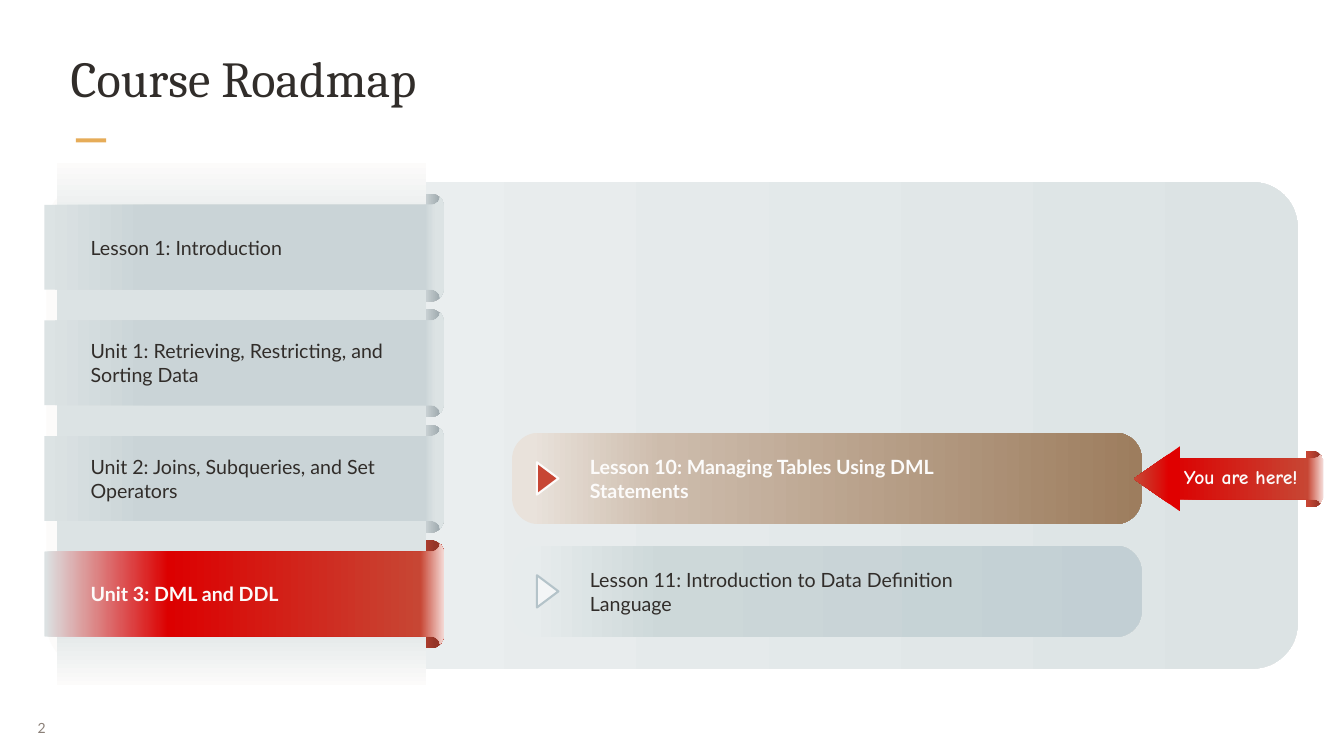
"""Build the course roadmap slide with unit ribbons, lesson bars and a position callout."""
from pptx import Presentation
from pptx.dml.color import RGBColor
from pptx.enum.shapes import MSO_SHAPE
from pptx.enum.text import MSO_ANCHOR, MSO_AUTO_SIZE, PP_ALIGN
from pptx.oxml import parse_xml
from pptx.oxml.ns import nsdecls
from pptx.util import Inches, Pt

TITLE = "Course Roadmap"
PAGE = "2"
CALLOUT = "You are here!"
UNITS = [
    {"text": "Lesson 1: Introduction", "width": 3.99, "lines": 1},
    {"text": "Unit 1: Retrieving, Restricting, and Sorting Data", "width": 4.81, "lines": 2},
    {"text": "Unit 2: Joins, Subqueries, and Set Operators", "width": 4.89, "lines": 2},
    {"text": "Unit 3: DML and DDL", "width": 3.63, "lines": 1, "current": True},
]
LESSONS = [
    {"text": "Lesson 10: Managing Tables Using DML Statements", "current": True},
    {"text": "Lesson 11: Introduction to Data Definition Language"},
]

THEME = {
    "dark": "312D2A", "light": "FCFBFA", "accent": "E6AC58", "muted": "8B8078",
    "heading": "Cambria", "body": "Lato", "hand": "Comic Neue",
    "title_size": 54, "text_size": 21, "page_size": 15,
    "canvas": [(0, "FCFBFA"), (26, "EAEEEF"), (100, "DCE3E4")],
    "panel": [(0, "FCFBFA"), (17, "DCE3E4"), (87, "DCE3E4"), (100, "FCFBFA")],
    "arrow_head": [(0, "E00000"), (23, "E00000"), (96, "C74634")],
    "arrow_body": [(0, "DC0000"), (90, "C74634"), (100, "F4DAD6")],
    "arrow_fold": [(11, "C74634"), (92, "953427")],
    "current": {
        "fold": [(73, "C74634"), (92, "953427")],
        "ribbon": [(0, "DCE3E4"), (31, "DC0000"), (94, "C74634"), (100, "F4DAD6")],
        "bar": [(3, "E9E2DB"), (24, "CDBCAC"), (100, "9D7D5E")],
        "marker": "C74634", "marker_line": "FCFBFA", "text": "FCFBFA", "bold": True,
    },
    "normal": {
        "fold": [(77, "DEE4E5"), (99, "96A2A7")],
        "ribbon": [(0, "DCE3E4"), (25, "CAD4D7"), (95, "CAD4D7"), (98, "DCE3E4")],
        "bar": [(3, "E7ECED"), (24, "CDD8D9"), (100, "C2CFD4")],
        "marker": "F3F5F6", "marker_line": "B4C3C9", "text": "312D2A", "bold": False,
    },
}

RIBBON_TOP, RIBBON_PITCH, RIBBON_H = 2.93, 1.72, 1.5
BAR_TOP, BAR_PITCH, BAR_H = 6.44, 1.68, 1.36
TEXT_H = {1: 0.45, 2: 0.81}


def style_of(item):
    return THEME["current" if item.get("current") else "normal"]


def paint(sp, fill, angle=0, line=None):
    sp.shadow.inherit = False
    if isinstance(fill, str):
        sp.fill.solid()
        sp.fill.fore_color.rgb = RGBColor.from_string(fill)
    else:
        stops = "".join(
            f'<a:gs pos="{pos * 1000}"><a:srgbClr val="{color}"/></a:gs>' for pos, color in fill)
        sp.fill.background()
        props = sp.element.spPr
        blank = props.find("{http://schemas.openxmlformats.org/drawingml/2006/main}noFill")
        props.replace(blank, parse_xml(
            f'<a:gradFill {nsdecls("a")} rotWithShape="1"><a:gsLst>{stops}</a:gsLst>'
            f'<a:lin ang="{angle * 60000}" scaled="0"/></a:gradFill>'))
    if line:
        sp.line.color.rgb = RGBColor.from_string(line)
        sp.line.width = Pt(2.25)
    else:
        sp.line.fill.background()


def add_box(shapes, kind, box, fill, angle=0, line=None, radius=None, rotation=0):
    sp = shapes.add_shape(kind, *map(Inches, box))
    if radius is not None:
        sp.adjustments[0] = radius
    sp.rotation = rotation
    paint(sp, fill, angle, line)


def write(tf, text, size, font, color, bold=False, align=PP_ALIGN.LEFT):
    p = tf.paragraphs[0]
    p.alignment = align
    r = p.add_run()
    r.text = text
    r.font.size, r.font.name, r.font.bold = Pt(size), font, bold
    r.font.color.rgb = RGBColor.from_string(color)


def add_text(shapes, box, text, font=THEME["body"], size=THEME["text_size"],
             color=THEME["dark"], bold=False, align=PP_ALIGN.LEFT, wrap=True):
    tf = shapes.add_textbox(*map(Inches, box)).text_frame
    tf.word_wrap = wrap
    tf.vertical_anchor = MSO_ANCHOR.MIDDLE
    write(tf, text, size, font, color, bold, align)
    return tf


def curve(a, b, c, d, steps=8):
    ts = [i / steps for i in range(steps + 1)]
    return [tuple((1 - t) ** 3 * w + 3 * t * (1 - t) ** 2 * x + 3 * t * t * (1 - t) * y + t ** 3 * z
                  for w, x, y, z in zip(a, b, c, d)) for t in ts]


def add_mirrored(shapes, left, top, height, upper, fill):
    points = upper + [(x, height - y) for x, y in reversed(upper)]
    points = [(Inches(left + x), Inches(top + y)) for x, y in points]
    builder = shapes.build_freeform(*points[0])
    builder.add_line_segments(points[1:], close=True)
    paint(builder.convert_to_shape(), fill)


def add_ribbon(shapes, left, top, width, height, dx, dy, fill):
    inner = [(-1, 1), (-0.74, 1), (-0.53, 0.75), (-0.37, 0.4)]
    outer = [(-0.32, 0), (-0.1, 0.4), (0, 1), (0, 1.65)]
    edge = curve(*inner) + curve(*outer)
    upper = [(0, dy)] + [(width + x * dx, y * dy) for x, y in edge]
    add_mirrored(shapes, left, top, height, upper, fill)


def add_lessons(shapes):
    for i, lesson in enumerate(LESSONS):
        style, top = style_of(lesson), BAR_TOP + i * BAR_PITCH
        add_box(shapes, MSO_SHAPE.ROUNDED_RECTANGLE, (7.62, top, 9.37, BAR_H),
                style["bar"], radius=0.289)
        add_text(shapes, (8.68, top + 0.28, 6.7, TEXT_H[2]), lesson["text"],
                 color=style["text"], bold=style["bold"])
        add_box(shapes, MSO_SHAPE.ISOSCELES_TRIANGLE, (7.91, top + 0.52, 0.48, 0.32),
                style["marker"], line=style["marker_line"], rotation=90)


def add_callout(shapes):
    group = shapes.add_group_shape().shapes
    corner = [(0, 0)] + curve((0.09, 0), (0.17, 0), (0.24, 0.06), (0.24, 0.14))
    add_mirrored(group, 19.43, 6.71, 0.84, corner, THEME["arrow_fold"])
    add_ribbon(group, 17.38, 6.77, 2.31, 0.71, 0.15, 0.05, THEME["arrow_body"])
    add_box(group, MSO_SHAPE.ISOSCELES_TRIANGLE, (16.73, 6.78, 0.97, 0.69),
            THEME["arrow_head"], angle=270, rotation=270)
    add_text(group, (17.38, 6.87, 2.17, TEXT_H[1]), CALLOUT, font=THEME["hand"],
             color=THEME["light"], bold=True, align=PP_ALIGN.CENTER)


def add_units(shapes):
    rows = [(unit, style_of(unit), RIBBON_TOP + i * RIBBON_PITCH) for i, unit in enumerate(UNITS)]
    for unit, style, top in rows:
        add_box(shapes, MSO_SHAPE.ROUNDED_RECTANGLE, (5.02, top - 0.05, 1.58, 1.61),
                style["fold"], radius=0.126)
    add_box(shapes, MSO_SHAPE.RECTANGLE, (0.85, 2.42, 5.49, 7.78), THEME["panel"], angle=90)
    for unit, style, top in rows:
        add_ribbon(shapes, 0.66, top, 5.95, RIBBON_H, 0.19, 0.12, style["ribbon"])
    for unit, style, top in rows:
        height = TEXT_H[unit["lines"]]
        add_text(shapes, (1.25, top + (RIBBON_H - height) / 2, unit["width"], height),
                 unit["text"], color=style["text"], bold=style["bold"])


def main():
    prs = Presentation()
    prs.slide_width, prs.slide_height = Inches(20), Inches(11.25)
    s = prs.slides.add_slide(prs.slide_layouts[5])
    title = s.shapes.title
    title.left, title.top, title.width, title.height = map(Inches, (1.02, 0.67, 17.96, 1.28))
    tf = title.text_frame
    tf.margin_left = tf.margin_right = tf.margin_top = tf.margin_bottom = Inches(0.03)
    tf.vertical_anchor, tf.auto_size = MSO_ANCHOR.TOP, MSO_AUTO_SIZE.NONE
    write(tf, TITLE, THEME["title_size"], THEME["heading"], THEME["dark"])

    add_box(s.shapes, MSO_SHAPE.RECTANGLE, (1.13, 2.06, 0.45, 0.06), THEME["accent"])
    page = add_text(s.shapes, (0.43, 10.54, 0.65, 0.58), PAGE, size=THEME["page_size"],
                    color=THEME["muted"], align=PP_ALIGN.JUSTIFY, wrap=False)
    page.margin_left = page.margin_right = Inches(0.13)
    page.margin_top = page.margin_bottom = Inches(0.07)
    add_box(s.shapes, MSO_SHAPE.ROUNDED_RECTANGLE, (0.69, 2.71, 18.62, 7.24),
            THEME["canvas"], radius=0.093)
    add_lessons(s.shapes)
    add_callout(s.shapes)
    add_units(s.shapes)
    prs.save("out.pptx")


if __name__ == "__main__":
    main()
